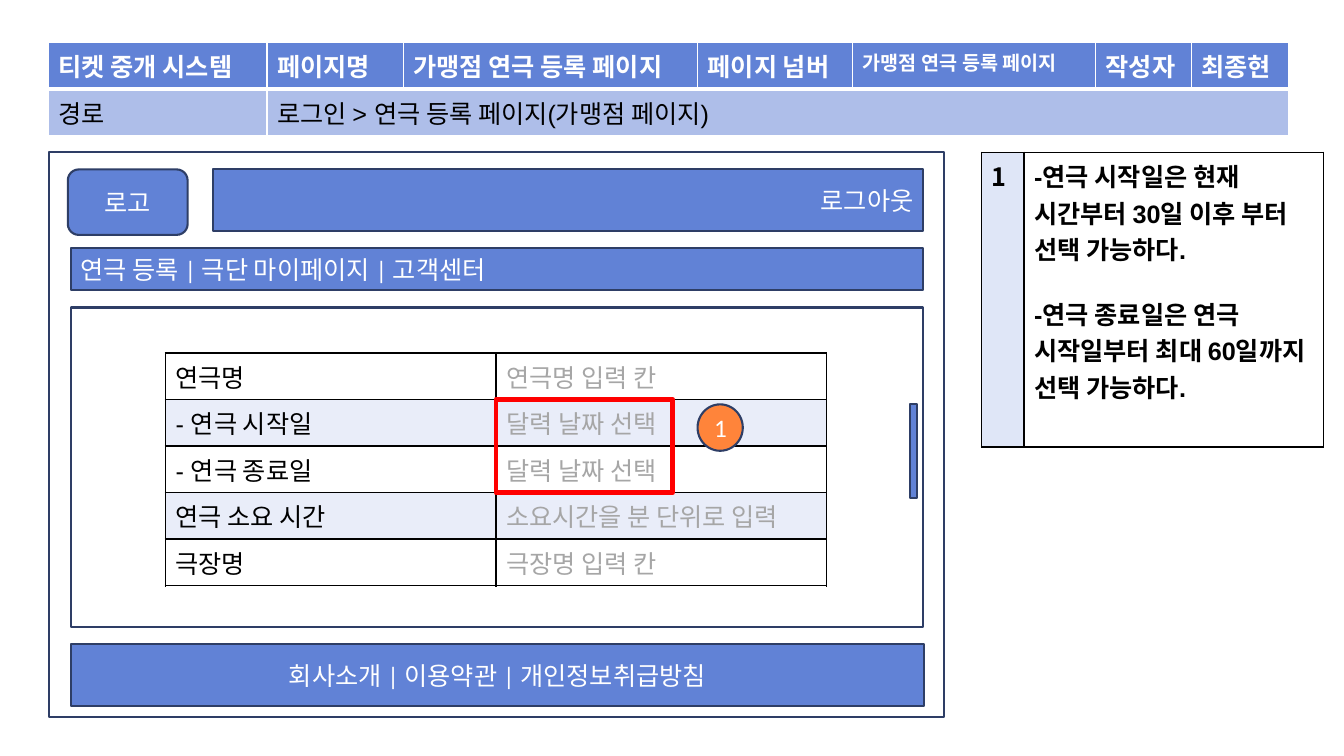
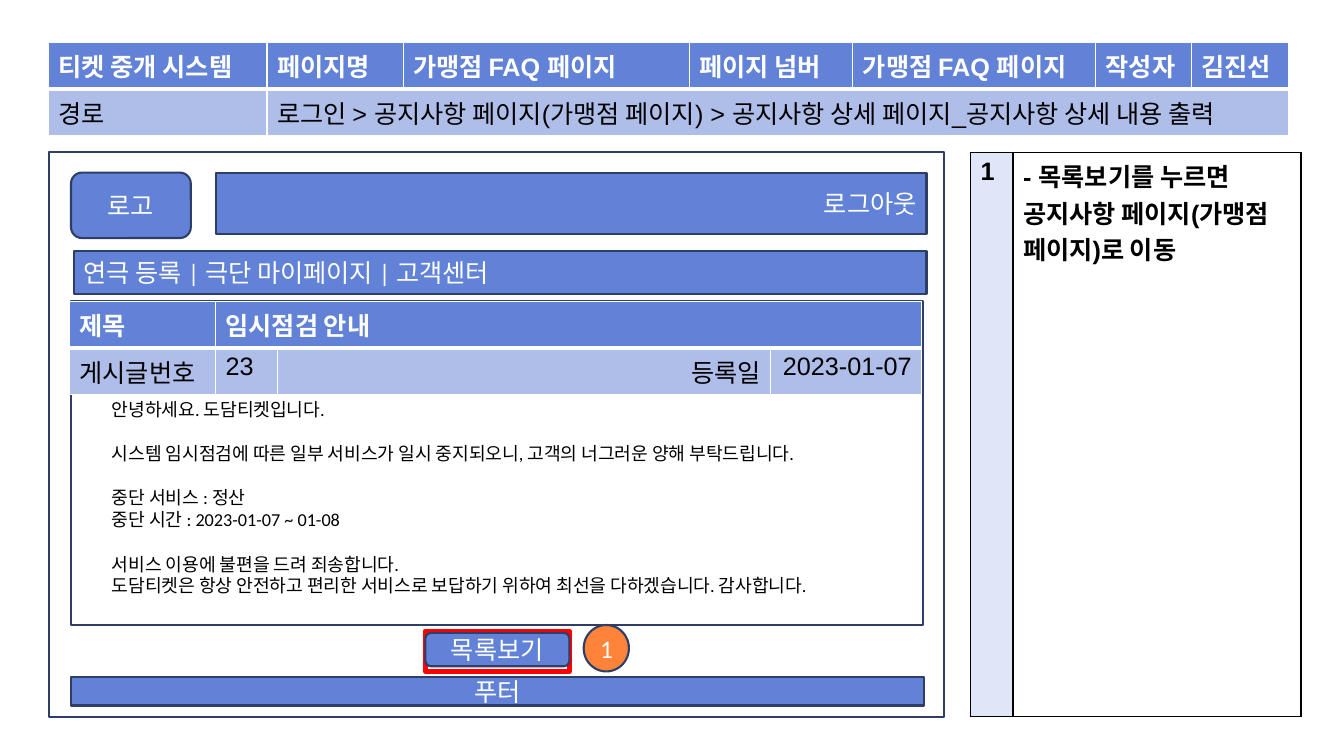
from lxml import etree
from pptx import Presentation
from pptx.dml.color import RGBColor
from pptx.enum.shapes import MSO_SHAPE
from pptx.enum.text import MSO_ANCHOR, PP_ALIGN
from pptx.oxml.ns import qn
from pptx.util import Cm, Pt

RECT, ROUNDED, OVAL = MSO_SHAPE.RECTANGLE, MSO_SHAPE.ROUNDED_RECTANGLE, MSO_SHAPE.OVAL
LEFT, CENTER, RIGHT = PP_ALIGN.LEFT, PP_ALIGN.CENTER, PP_ALIGN.RIGHT
MIDDLE = MSO_ANCHOR.MIDDLE

BLUE = RGBColor(0x61, 0x82, 0xD6)
PALE = RGBColor(0xAE, 0xBE, 0xE9)
LIGHT = RGBColor(0xDF, 0xE6, 0xF7)
BAND = RGBColor(0xE9, 0xED, 0xF9)
NAVY = RGBColor(0x2E, 0x3E, 0x66)
ORANGE = RGBColor(0xFF, 0x84, 0x3A)
RED = RGBColor(0xFF, 0x00, 0x00)
GRAY = RGBColor(0xA6, 0xA6, 0xA6)
BLACK = RGBColor(0x00, 0x00, 0x00)
WHITE = RGBColor(0xFF, 0xFF, 0xFF)

ARIAL, CALIBRI, NOTO = "Arial", "Calibri", "Noto Sans CJK KR"
KOREAN_FONT = {ARIAL: NOTO, CALIBRI: CALIBRI, NOTO: NOTO}

HEADER = (BLUE, {"color": WHITE, "bold": True})
DETAIL = (PALE, {})
DETAIL_RIGHT = (PALE, {"align": RIGHT})
NOTE = (WHITE, {"bold": True})


def write(frame, text, size=18, font=ARIAL, color=BLACK, bold=False, align=LEFT, gap=20):
    frame.word_wrap = True
    paragraph, before = None, 0
    for line in text.split("\n"):
        if not line:
            before = gap
            continue
        paragraph = frame.add_paragraph() if paragraph else frame.paragraphs[0]
        paragraph.alignment = align
        if before:
            paragraph.space_before = Pt(before)
        before = 0
        run = paragraph.add_run()
        run.text = line
        run.font.size, run.font.name, run.font.bold = Pt(size), font, bold
        run.font.color.rgb = color
        korean = etree.SubElement(run._r.get_or_add_rPr(), qn("a:ea"))
        korean.set("typeface", KOREAN_FONT[font])


def add_box(slide, kind, place, fill=None, line=NAVY, weight=1.5, text="", align=CENTER):
    box = slide.shapes.add_shape(kind, *map(Cm, place))
    box.shadow.inherit = False
    if fill is None:
        box.fill.background()
    else:
        box.fill.solid()
        box.fill.fore_color.rgb = fill
    box.line.color.rgb = line
    box.line.width = Pt(weight)
    if text:
        box.text_frame.vertical_anchor = MIDDLE
        write(box.text_frame, text, font=CALIBRI, color=WHITE, align=align)


entry_fields = [
    ("연극명", "연극명 입력 칸"),
    ("- 연극 시작일", "달력 날짜 선택"),
    ("- 연극 종료일", "달력 날짜 선택"),
    ("연극 소요 시간", "소요시간을 분 단위로 입력"),
    ("극장명", "극장명 입력 칸"),
]
entry_rows = []
for index, (label, hint) in enumerate(entry_fields):
    band = BAND if index % 2 else None
    entry_rows.append([(label, (band, {})), (hint, (band, {"color": GRAY}))])

notice_rows = [
    [("제목", HEADER), ("임시점검 안내", HEADER)],
    [("게시글번호", DETAIL), ("23", DETAIL), ("등록일", DETAIL_RIGHT), ("2023-01-07", DETAIL_RIGHT)],
]
notice_body = """안녕하세요. 도담티켓입니다.

시스템 임시점검에 따른 일부 서비스가 일시 중지되오니, 고객의 너그러운 양해 부탁드립니다.

중단 서비스 : 정산
중단 시간 : 2023-01-07 ~ 01-08

서비스 이용에 불편을 드려 죄송합니다.
도담티켓은 항상 안전하고 편리한 서비스로 보답하기 위하여 최선을 다하겠습니다. 감사합니다."""

date_note = """-연극 시작일은 현재 시간부터 30일 이후 부터 선택 가능하다.

-연극 종료일은 연극 시작일부터 최대 60일까지 선택 가능하다."""

pages = [
    {
        "title": "가맹점 연극 등록 페이지", "number_size": 14, "author": "최종현",
        "route": "로그인 > 연극 등록 페이지(가맹점 페이지)",
        "title_widths": [7.42, 3.91],
        "content": (1.78, 7.75, 21.49, 8.05),
        "table": (4.17, 8.89, [8.33, 8.33], 1.14, entry_rows, BLACK, 1.2),
        "note": date_note, "note_font": NOTO,
        "note_left": 24.74, "note_width": 7.54, "note_height": 7.42,
        "shift": 0, "footer": "회사소개 | 이용약관 | 개인정보취급방침",
        "footer_top": 16.23, "footer_height": 1.57,
        "highlight": (12.5, 10.06, 4.45, 2.36), "marker": (17.58, 10.19),
        "control": (RECT, (22.94, 10.19, 0.18, 2.36), ""),
        "body": "",
    },
    {
        "title": "가맹점 FAQ 페이지", "number_size": 18, "author": "김진선",
        "route": "로그인 > 공지사항 페이지(가맹점 페이지) > 공지사항 상세 페이지_공지사항 상세 내용 출력",
        "title_widths": [7.21, 4.12],
        "content": (1.78, 7.59, 21.49, 8.15),
        "table": (1.75, 7.59, [3.68, 1.57, 12.42, 3.81], 0.99, notice_rows, WHITE, 1),
        "note": "- 목록보기를 누르면 공지사항 페이지(가맹점 페이지)로 이동", "note_font": ARIAL,
        "note_left": 24.46, "note_width": 7.26, "note_height": 14.22,
        "shift": 0.08, "footer": "푸터",
        "footer_top": 17.07, "footer_height": 0.71,
        "highlight": (10.72, 15.9, 3.63, 1.02), "marker": (14.71, 15.75),
        "control": (ROUNDED, (10.72, 15.95, 3.63, 0.84), "목록보기"),
        "body": notice_body,
    },
]

deck = Presentation()
deck.slide_width, deck.slide_height = Cm(33.87), Cm(19.05)

for page in pages:
    slide = deck.slides.add_slide(deck.slide_layouts[6])
    for outline in [(1.24, 3.84, 22.56, 14.22), page["content"]]:
        add_box(slide, RECT, outline)

    number_style = (BLUE, {"color": WHITE, "bold": True, "size": page["number_size"]})
    heading_rows = [
        [("티켓 중개 시스템", HEADER), ("페이지명", HEADER), (page["title"], HEADER),
         ("페이지 넘버", HEADER), (page["title"], number_style),
         ("작성자", HEADER), (page["author"], HEADER)],
        [("경로", DETAIL), (page["route"], DETAIL)],
    ]
    note_rows = [[("1", (LIGHT, {"bold": True, "font": page["note_font"]})), (page["note"], NOTE)]]
    heading_widths = [5.51, 3.43, *page["title_widths"], 6.12, 2.41, 2.46]
    tables = [
        (1.22, 1.07, heading_widths, 1.04, heading_rows, WHITE, 1),
        page["table"],
        (page["note_left"], 3.84, [1.07, page["note_width"]], page["note_height"], note_rows, BLACK, 1.2),
    ]
    for left, top, widths, height, rows, border, weight in tables:
        table = slide.shapes.add_table(
            len(rows), len(widths), Cm(left), Cm(top), Cm(sum(widths)), Cm(height * len(rows))
        ).table
        table.first_row = table.horz_banding = False
        for column, width in zip(table.columns, widths):
            column.width = Cm(width)
        for row_index, row in enumerate(rows):
            table.rows[row_index].height = Cm(height)
            if len(row) < len(widths):
                table.cell(row_index, len(row) - 1).merge(table.cell(row_index, len(widths) - 1))
            for column_index, (text, (fill, text_format)) in enumerate(row):
                cell = table.cell(row_index, column_index)
                if fill is None:
                    cell.fill.background()
                else:
                    cell.fill.solid()
                    cell.fill.fore_color.rgb = fill
                write(cell.text_frame, text, **text_format)
                properties = cell._tc.get_or_add_tcPr()
                for position, side in enumerate(["lnL", "lnR", "lnT", "lnB"]):
                    thickness = 3 if side == "lnB" and fill == BLUE else weight
                    edge = etree.Element(qn(f"a:{side}"), w=str(int(Pt(thickness))))
                    paint = etree.SubElement(edge, qn("a:solidFill"))
                    etree.SubElement(paint, qn("a:srgbClr"), val=str(border))
                    properties.insert(position, edge)

    shift = page["shift"]
    bars = [
        (ROUNDED, (1.71 + shift, 4.27 + shift, 3.02, 1.65), "로고", CENTER),
        (RECT, (5.36 + shift, 4.27 + shift, 17.91, 1.55), "로그아웃", RIGHT),
        (RECT, (1.78 + shift, 6.25 + shift, 21.49, 1.07), "연극 등록 | 극단 마이페이지 | 고객센터", LEFT),
        (RECT, (1.78, page["footer_top"], 21.51, page["footer_height"]), page["footer"], CENTER),
    ]
    for kind, place, text, align in bars:
        add_box(slide, kind, place, fill=BLUE, text=text, align=align)

    add_box(slide, RECT, page["highlight"], line=RED, weight=3.5)
    control_kind, control_place, control_text = page["control"]
    add_box(slide, control_kind, control_place, fill=BLUE, text=control_text)
    add_box(slide, OVAL, (*page["marker"], 1.14, 1.17), fill=ORANGE, text="1")

    if page["body"]:
        body = slide.shapes.add_textbox(Cm(2.57), Cm(9.91), Cm(19.89), Cm(5.21))
        write(body.text_frame, page["body"], size=13, font=CALIBRI, gap=16)

deck.save("out.pptx")
